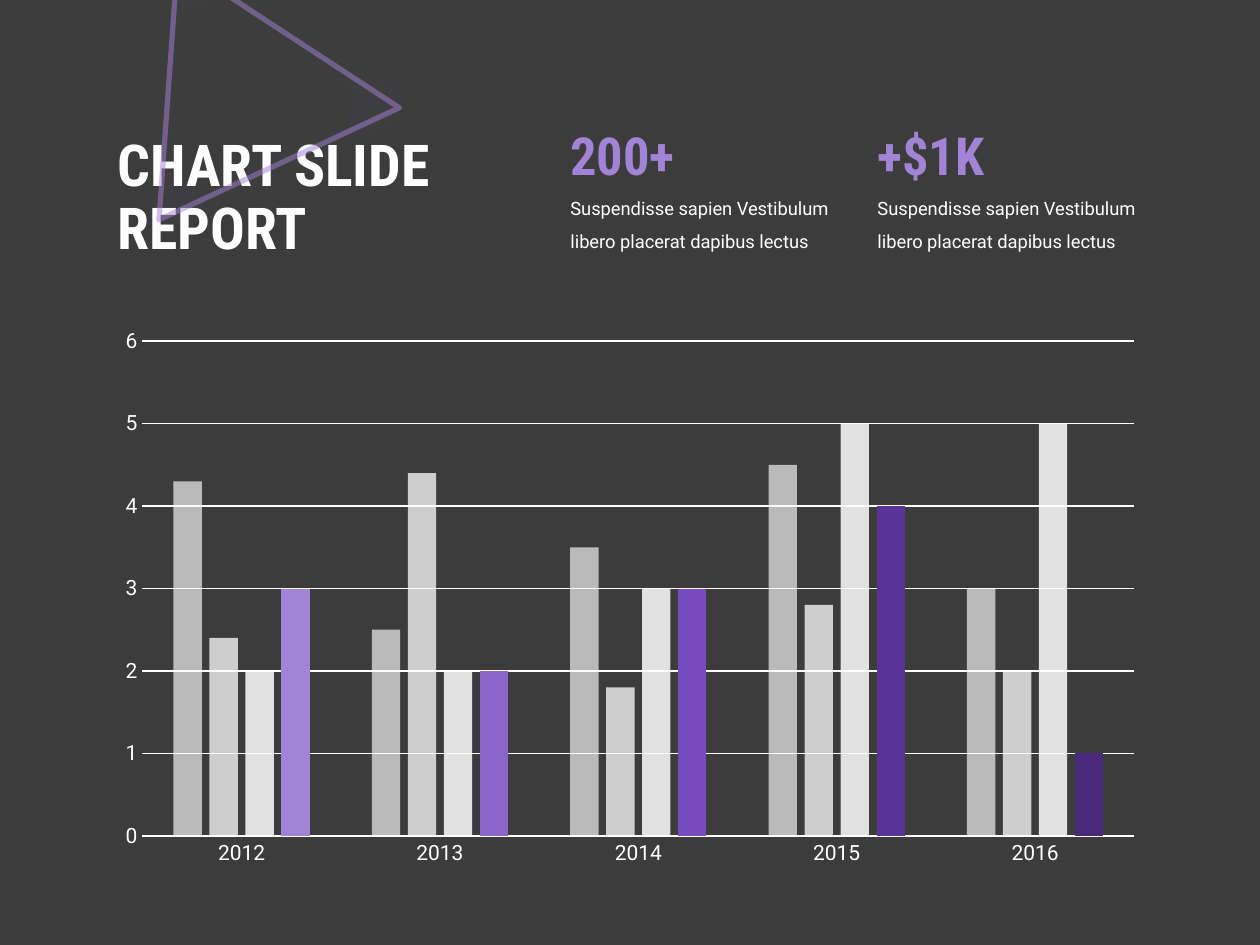
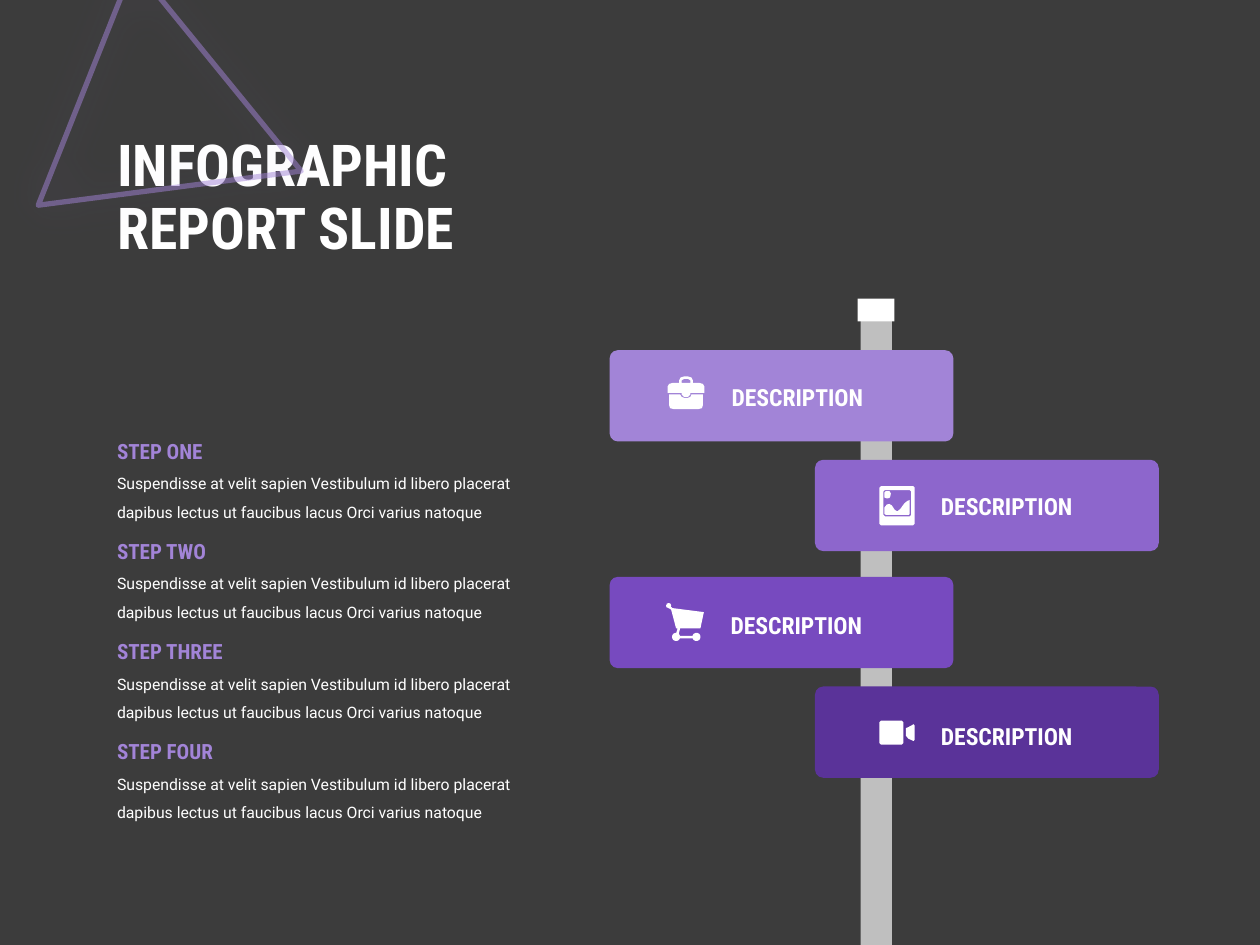
from math import cos, pi, sin

from lxml import etree
from pptx import Presentation
from pptx.chart.data import CategoryChartData
from pptx.dml.color import RGBColor
from pptx.enum.chart import XL_CHART_TYPE, XL_TICK_MARK
from pptx.enum.shapes import MSO_SHAPE
from pptx.enum.text import MSO_ANCHOR, MSO_AUTO_SIZE, PP_ALIGN
from pptx.oxml.ns import qn
from pptx.util import Cm, Pt

COLUMNS = XL_CHART_TYPE.COLUMN_CLUSTERED
NO_TICKS = XL_TICK_MARK.NONE
TRIANGLE, RECTANGLE = MSO_SHAPE.ISOSCELES_TRIANGLE, MSO_SHAPE.RECTANGLE
ROUNDED = MSO_SHAPE.ROUNDED_RECTANGLE
MIDDLE, LEFT, NO_FIT = MSO_ANCHOR.MIDDLE, PP_ALIGN.LEFT, MSO_AUTO_SIZE.NONE

COLOURS = {
    "background": "3C3C3C",
    "white": "FFFFFF",
    "post": "BFBFBF",
    "lilac": "A284D7",
    "lavender": "8D66CC",
    "violet": "774ABF",
    "purple": "5A3399",
    "indigo": "48297A",
}
SHADES = ["lilac", "lavender", "violet", "purple", "indigo"]


def text_style(size, name="Roboto", colour="white", bold=False):
    return {"size": Pt(size), "name": name, "bold": bold, "colour": colour}


CONDENSED = "Roboto Condensed"
TITLE = text_style(33, CONDENSED, bold=True)
FIGURE = text_style(30, CONDENSED, "lilac", True)
FIGURE_NOTE = text_style(10.5)
STEP_HEADING = text_style(12, CONDENSED, "lilac", True)
STEP_NOTE = text_style(9)
SIGN_LABEL = text_style(13.5, CONDENSED, bold=True)
CHART_TEXT = text_style(10)
AXIS_TEXT = text_style(12)

FIGURES = ["200+", "+$1K"]
FIGURE_TEXT = "Suspendisse sapien Vestibulum libero placerat dapibus lectus"
STEPS = ["STEP ONE", "STEP TWO", "STEP THREE", "STEP FOUR"]
STEP_TEXT = ("Suspendisse at velit sapien Vestibulum id libero placerat "
             "dapibus lectus ut faucibus lacus Orci varius natoque")
YEARS = ["2012", "2013", "2014", "2015", "2016"]
SERIES = {
    "Series 1": [4.3, 2.5, 3.5, 4.5, 3],
    "Series 2": [2.4, 4.4, 1.8, 2.8, 2],
    "Series 3": [2, 2, 3, 5, 5],
    "Series 4": [3, 2, 3, 4, 1],
}
WHITE_OPACITIES = [65, 75, 85]


def rgb(colour):
    return RGBColor.from_string(COLOURS[colour])


def apply_font(font, style):
    for attribute, value in style.items():
        if attribute == "colour":
            font.color.rgb = rgb(value)
        else:
            setattr(font, attribute, value)


def set_opacity(colour_element, percent):
    etree.SubElement(colour_element, qn("a:alpha"), val=str(percent * 1000))


def paint(shape, colour):
    shape.shadow.inherit = False
    shape.fill.solid()
    shape.fill.fore_color.rgb = rgb(colour)
    shape.line.fill.background()


def add_block(shapes, kind, box, colour):
    block = shapes.add_shape(kind, *map(Cm, box))
    paint(block, colour)
    return block


def add_text(slide, box, words, style, spacing=None):
    frame = slide.shapes.add_textbox(*map(Cm, box)).text_frame
    frame.word_wrap = True
    paragraph = frame.paragraphs[0]
    paragraph.line_spacing = spacing
    run = paragraph.add_run()
    run.text = words
    apply_font(run.font, style)


def add_triangle(slide, left, top, rotation):
    """Half-transparent outline with a soft lilac glow."""
    triangle = slide.shapes.add_shape(
        TRIANGLE, Cm(left), Cm(top), Cm(5.2), Cm(4.67))
    triangle.rotation = rotation
    triangle.shadow.inherit = False
    triangle.fill.background()
    triangle.line.width = Pt(3)
    triangle.line.color.rgb = rgb("lilac")
    set_opacity(next(triangle.element.iter(qn("a:srgbClr"))), 50)
    effects = next(triangle.element.iter(qn("a:effectLst")))
    glow = etree.SubElement(effects, qn("a:outerShdw"),
                            blurRad=str(Pt(25)), dist="0", algn="ctr")
    glow_colour = etree.SubElement(glow, qn("a:srgbClr"), val=COLOURS["lilac"])
    set_opacity(glow_colour, 35)


def add_titled_slide(prs, title_lines, triangle):
    slide = prs.slides.add_slide(prs.slide_layouts.get_by_name("Title Only"))
    add_triangle(slide, *triangle)
    title = slide.shapes.title
    title.left, title.top, title.width, title.height = map(
        Cm, (2.11, 2.01, 10.72, 4.01))
    frame = title.text_frame
    frame.auto_size = NO_FIT
    frame.word_wrap = True
    frame.vertical_anchor = MIDDLE
    paragraph = frame.paragraphs[0]
    paragraph.alignment = LEFT
    paragraph.line_spacing = 0.9
    for number, line in enumerate(title_lines):
        if number:
            paragraph.add_line_break()
        run = paragraph.add_run()
        run.text = line
        apply_font(run.font, TITLE)
    return slide


def add_key_figure(slide, left, top, figure):
    add_text(slide, (left, top + 1.27, 6.27, 1.52), FIGURE_TEXT,
             FIGURE_NOTE, 1.5)
    add_text(slide, (left, top, 3.4, 1.55), figure, FIGURE)


def style_axis(axis):
    axis.major_tick_mark = axis.minor_tick_mark = NO_TICKS
    apply_font(axis.tick_labels.font, AXIS_TEXT)


def style_line(line):
    line.width = Pt(0.75)
    line.color.rgb = rgb("white")


def add_yearly_chart(slide, box):
    data = CategoryChartData()
    data.categories = YEARS
    for name, values in SERIES.items():
        data.add_series(name, values)
    chart = slide.shapes.add_chart(COLUMNS, *map(Cm, box), data).chart
    chart.has_title = chart.has_legend = False
    apply_font(chart.font, CHART_TEXT)

    years, amounts = chart.category_axis, chart.value_axis
    style_axis(years)
    style_axis(amounts)
    style_line(years.format.line)
    amounts.format.line.fill.background()
    style_line(amounts.major_gridlines.format.line)
    amounts.minimum_scale, amounts.maximum_scale = 0, 6
    amounts.major_unit = 1

    plot = chart.plots[0]
    plot.vary_by_categories = False
    plot.gap_width, plot.overlap = 219, -27
    *white_series, shaded_series = plot.series
    for series in white_series:
        series.format.fill.solid()
        series.format.fill.fore_color.rgb = rgb("white")
    for element, opacity in zip(chart.element.iter(qn("c:ser")),
                                WHITE_OPACITIES):
        set_opacity(next(element.iter(qn("a:srgbClr"))), opacity)
    bars = [shaded_series] + [shaded_series.points[i]
                              for i in range(1, len(YEARS))]
    for bar, shade in zip(bars, SHADES):
        bar.format.fill.solid()
        bar.format.fill.fore_color.rgb = rgb(shade)


def cut_corners(x, y, w, h, cut=3):
    right, bottom = x + w, y + h
    return [(x + cut, y), (right - cut, y), (right, y + cut),
            (right, bottom - cut), (right - cut, bottom),
            (x + cut, bottom), (x, bottom - cut), (x, y + cut)]


def disc(x, y, radius, sides=24):
    return [(x + radius * cos(2 * pi * i / sides),
             y + radius * sin(2 * pi * i / sides)) for i in range(sides)]


# Each icon is a list of parts, each part an outline followed by its holes,
# in tenths of a millimetre from the icon's top left corner.
BRIEFCASE = [
    [[(0, 33), (0, 20), (3, 15), (10, 13), (23, 13), (23, 8), (26, 2),
      (33, 0), (41, 0), (48, 2), (51, 8), (51, 13), (64, 13), (71, 15),
      (74, 20), (74, 33), (46, 33), (46, 36), (41, 41), (33, 41),
      (28, 36), (28, 33)],
     [(28, 13), (28, 8), (33, 5), (41, 5), (46, 8), (46, 13)]],
    [[(3, 36), (3, 58), (5, 64), (13, 66), (61, 66), (69, 64), (71, 58),
      (71, 36), (48, 36), (46, 41), (41, 43), (33, 43), (28, 41), (25, 36)]],
]
LANDSCAPE = [
    [cut_corners(0, 0, 71, 79), cut_corners(8, 8, 56, 53)],
    [[(10, 43), (15, 37), (20, 36), (25, 39), (31, 48), (36, 51), (42, 46),
      (50, 35), (56, 30), (61, 28), (61, 56), (59, 58), (13, 58), (10, 56)]],
    [[(10, 13), (13, 10), (20, 10), (23, 15), (22, 20), (20, 24), (15, 25),
      (10, 23)]],
]
CART = [
    [[(5, 10), (10, 13), (20, 51), (23, 51), (20, 61), (25, 64), (28, 51),
      (69, 51), (76, 18), (13, 10), (8, 6)]],
    [cut_corners(22, 66, 38, 5, 0)],
    [disc(5, 5, 5)],
    [disc(20, 68, 8)],
    [disc(61, 68, 8)],
]
CAMERA = [
    [cut_corners(0, 0, 48, 48)],
    [[(69, 7), (58, 13), (53, 15), (53, 30), (58, 36), (69, 41), (71, 38),
      (71, 10)]],
]


def add_icon(slide, left, top, parts):
    icon = slide.shapes.add_group_shape()
    for outline, *holes in parts:
        builder = icon.shapes.build_freeform(*outline[0], scale=Cm(0.01))
        builder.add_line_segments(outline[1:])
        for hole in holes:
            builder.move_to(*hole[0])
            builder.add_line_segments(hole[1:])
        paint(builder.convert_to_shape(Cm(left), Cm(top)), "white")


def add_sign(slide, left, top, shade, icon, icon_offset, label_offset):
    sign = add_block(slide.shapes, ROUNDED, (left, top, 6.93, 1.84),
                     shade)
    sign.adjustments[0] = 0.09
    add_icon(slide, left + icon_offset[0], top + icon_offset[1], icon)
    add_text(slide, (left + label_offset[0], top + label_offset[1],
                     3.58, 0.84), "DESCRIPTION", SIGN_LABEL)


def add_signpost(slide, left, top):
    post_left = left + 5.06
    add_block(slide.shapes, RECTANGLE,
              (post_left, top + 0.28, 0.63, 12.75), "post")
    add_block(slide.shapes, RECTANGLE,
              (post_left - 0.06, top, 0.74, 0.46), "white")
    signs = [
        (0, 1.04, BRIEFCASE, (1.17, 0.53), (2.21, 0.53)),
        (4.14, 3.25, LANDSCAPE, (1.3, 0.53), (2.29, 0.53)),
        (0, 5.61, CART, (1.14, 0.53), (2.19, 0.56)),
        (4.14, 7.82, CAMERA, (1.3, 0.69), (2.29, 0.58)),
    ]
    for shade, (shift, drop, *content) in zip(SHADES, signs):
        add_sign(slide, left + shift, top + drop, shade, *content)


def add_steps(slide, left, top, pitch=2.02):
    for number, heading in enumerate(STEPS):
        step_top = top + number * pitch
        add_text(slide, (left, step_top + 0.53, 8.56, 1.35), STEP_TEXT,
                 STEP_NOTE, 1.5)
        add_text(slide, (left, step_top, 4.67, 0.76), heading, STEP_HEADING)


def build_chart_slide(prs):
    slide = add_titled_slide(prs, ["CHART SLIDE", "REPORT"],
                             (3.12, -0.33, 94.1))
    add_yearly_chart(slide, (2.11, 6.4, 21.18, 11.28))
    for number, figure in enumerate(FIGURES):
        add_key_figure(slide, 11.25 + number * 6.19, 2.36, figure)


def build_infographic_slide(prs):
    slide = add_titled_slide(prs, ["INFOGRAPHIC", "REPORT SLIDE"],
                             (1.3, 0.25, 111.7))
    add_signpost(slide, 12.29, 6.02)
    add_steps(slide, 2.11, 8.71)


def main():
    prs = Presentation()
    prs.slide_width, prs.slide_height = Cm(25.4), Cm(19.05)
    backdrop = prs.slide_master.background.fill
    backdrop.solid()
    backdrop.fore_color.rgb = rgb("background")
    build_chart_slide(prs)
    build_infographic_slide(prs)
    prs.save("out.pptx")


if __name__ == "__main__":
    main()
